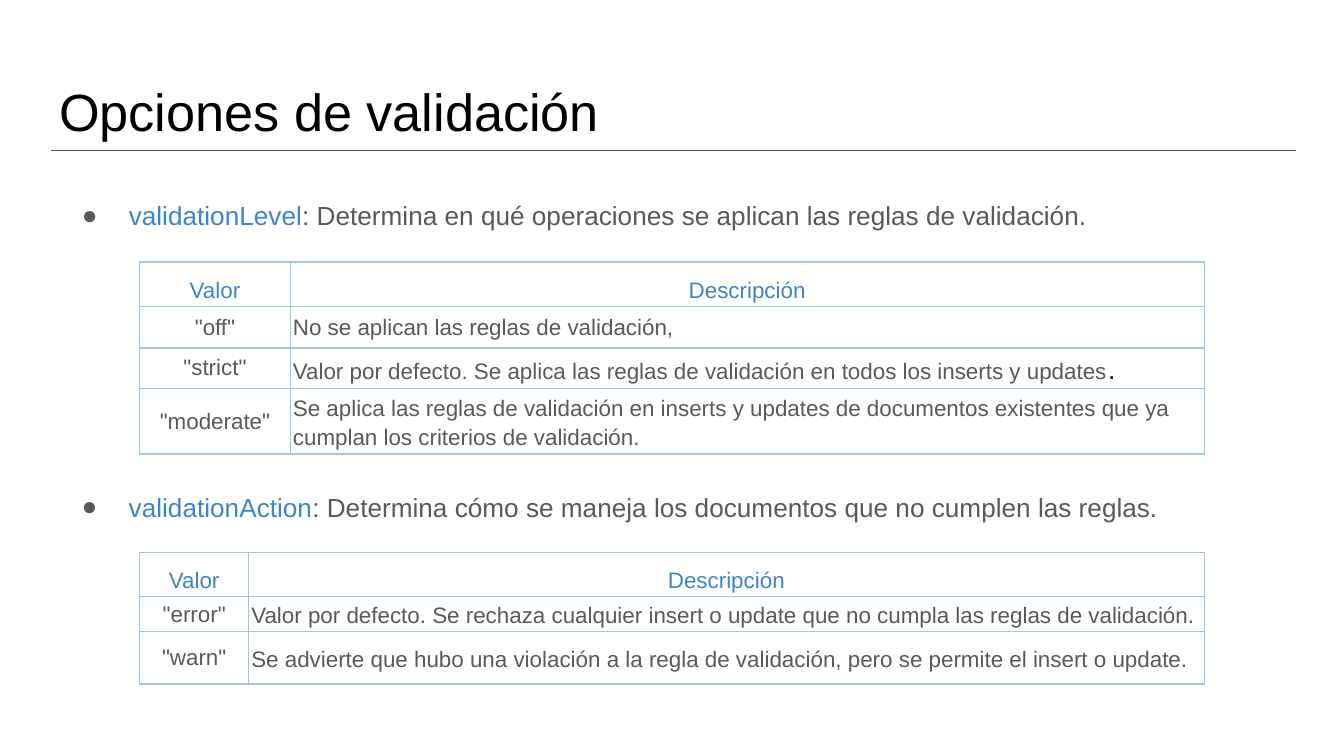
from lxml import etree
from pptx import Presentation
from pptx.dml.color import RGBColor
from pptx.enum.shapes import MSO_CONNECTOR
from pptx.enum.text import MSO_ANCHOR, MSO_AUTO_SIZE, PP_ALIGN
from pptx.oxml.ns import qn
from pptx.util import Inches, Pt

STRAIGHT = MSO_CONNECTOR.STRAIGHT
TOP, MIDDLE = MSO_ANCHOR.TOP, MSO_ANCHOR.MIDDLE
LEFT, CENTER = PP_ALIGN.LEFT, PP_ALIGN.CENTER
NO_AUTOFIT = MSO_AUTO_SIZE.NONE

SLIDE_WIDTH = Inches(10)
SLIDE_HEIGHT = SLIDE_WIDTH * 9 // 16
FONT = "Arial"
BLACK, GRAY, BLUE, BORDER, WHITE = "000000", "595959", "3D85C6", "9FC5E8", "FFFFFF"
TITLE_SIZE, BODY_SIZE, TABLE_SIZE = 28, 14, 12
TABLE_LEFT, TABLE_WIDTH = 1.04, 7.92
BULLET_LEFT, BULLET_HEIGHT = 0.36, 0.4

# Content: each row is value, description pieces, description line spacing, height
TITLE = "Opciones de validación"
HEADER = ("Valor", "Descripción")
SECTIONS = [
    {
        "option": "validationLevel",
        "summary": ": Determina en qué operaciones se aplican las reglas de validación.",
        "bullet_top": 1.35, "bullet_width": 8.09,
        "table_top": 1.95, "value_width": 1.12, "header_height": 0.24,
        "rows": [
            ('"off"', ["No se aplican las reglas de validación,"], None, 0.31),
            ('"strict"', ["Valor por defecto. Se aplica las reglas de validación "
                          "en todos los inserts y updates", "."], 1.15, 0.29),
            ('"moderate"', ["Se aplica las reglas de validación en inserts y updates de "
                            "documentos existentes que ya cumplan los criterios de "
                            "validación."], 1.15, 0.47),
        ],
    },
    {
        "option": "validationAction",
        "summary": ": Determina cómo se maneja los documentos que no cumplen las reglas.",
        "bullet_top": 3.52, "bullet_width": 8.74,
        "table_top": 4.11, "value_width": 0.81, "header_height": 0.18,
        "rows": [
            ('"error"', ["Valor por defecto. Se rechaza cualquier insert o update que no "
                         "cumpla las reglas de validación."], 1.15, 0.2),
            ('"warn"', ["Se advierte que hubo una violación a la regla de validación, "
                        "pero se permite el insert o update."], 1.15, 0.39),
        ],
    },
]


def color(value):
    return RGBColor.from_string(value)


def add_run(paragraph, text, size, text_color):
    run = paragraph.add_run()
    run.text = text
    run.font.name = FONT
    run.font.size = Pt(size)
    run.font.color.rgb = color(text_color)


def add_solid_color(parent, value):
    fill = etree.SubElement(parent, qn("a:solidFill"))
    etree.SubElement(fill, qn("a:srgbClr"), val=value)


def set_margins(target, margin):
    target.margin_left = target.margin_right = Inches(margin)
    target.margin_top = target.margin_bottom = Inches(margin)


def add_title(slide):
    title = slide.shapes.title
    title.left, title.top = Inches(0.34), Inches(0.49)
    title.width, title.height = Inches(9.32), Inches(0.63)
    frame = title.text_frame
    set_margins(frame, 0.1)
    frame.auto_size = NO_AUTOFIT
    frame.vertical_anchor = TOP
    paragraph = frame.paragraphs[0]
    paragraph.alignment = LEFT
    add_run(paragraph, TITLE, TITLE_SIZE, BLACK)


def add_rule(slide):
    rule = slide.shapes.add_connector(
        STRAIGHT, Inches(0.38), Inches(1.12), Inches(9.64), Inches(1.12))
    rule.line.color.rgb = color(GRAY)
    rule.line.width = Pt(0.75)
    etree.SubElement(rule.element.spPr, qn("a:effectLst"))


def add_bullet(slide, section):
    box = slide.shapes.add_textbox(
        Inches(BULLET_LEFT), Inches(section["bullet_top"]),
        Inches(section["bullet_width"]), Inches(BULLET_HEIGHT))
    frame = box.text_frame
    frame.word_wrap = True
    set_margins(frame, 0.1)
    paragraph = frame.paragraphs[0]
    paragraph.line_spacing = 1.15
    add_run(paragraph, section["option"], BODY_SIZE, BLUE)
    add_run(paragraph, section["summary"], BODY_SIZE, GRAY)
    properties = paragraph._p.get_or_add_pPr()
    properties.set("marL", str(Inches(0.5)))
    properties.set("indent", str(Inches(-0.35)))
    bullet_color = etree.SubElement(properties, qn("a:buClr"))
    etree.SubElement(bullet_color, qn("a:srgbClr"), val=GRAY)
    etree.SubElement(properties, qn("a:buSzPts"), val=str(BODY_SIZE * 100))
    etree.SubElement(properties, qn("a:buFont"), typeface=FONT)
    etree.SubElement(properties, qn("a:buChar"), char="●")


def format_cell(cell, alignment, spacing=None):
    """Set borders, fill and layout, and return the cell's paragraph."""
    set_margins(cell, 0.02)
    cell.margin_top = cell.margin_bottom = Pt(1.1)
    cell.vertical_anchor = MIDDLE
    properties = cell._tc.get_or_add_tcPr()
    for side in ("lnL", "lnR", "lnT", "lnB"):
        border = etree.SubElement(properties, qn(f"a:{side}"), w=str(Pt(0.75)))
        add_solid_color(border, BORDER)
    cell.fill.solid()
    cell.fill.fore_color.rgb = color(WHITE)
    paragraph = cell.text_frame.paragraphs[0]
    paragraph.alignment = alignment
    if spacing:
        paragraph.line_spacing = spacing
    return paragraph


def add_option_table(slide, section):
    rows = section["rows"]
    heights = [section["header_height"]] + [row[-1] for row in rows]
    widths = [section["value_width"], TABLE_WIDTH - section["value_width"]]
    table = slide.shapes.add_table(
        len(heights), len(widths), Inches(TABLE_LEFT), Inches(section["table_top"]),
        Inches(TABLE_WIDTH), Inches(sum(heights))).table
    table.first_row = table.horz_banding = False
    for column, width in zip(table.columns, widths):
        column.width = Inches(width)
    for row, height in zip(table.rows, heights):
        row.height = Inches(height)

    for index, label in enumerate(HEADER):
        paragraph = format_cell(table.cell(0, index), CENTER, 1.5)
        add_run(paragraph, label, TABLE_SIZE, BLUE)
    for index, (value, pieces, spacing, _) in enumerate(rows, start=1):
        add_run(format_cell(table.cell(index, 0), CENTER), value, TABLE_SIZE, GRAY)
        paragraph = format_cell(table.cell(index, 1), LEFT, spacing)
        if spacing:
            paragraph.space_after = Pt(8)
        # A second piece is the larger black full stop
        for piece, size, text_color in zip(pieces, (TABLE_SIZE, BODY_SIZE), (GRAY, BLACK)):
            add_run(paragraph, piece, size, text_color)


def main():
    presentation = Presentation()
    presentation.slide_width, presentation.slide_height = SLIDE_WIDTH, SLIDE_HEIGHT
    slide = presentation.slides.add_slide(presentation.slide_layouts[5])
    add_title(slide)
    add_rule(slide)
    for section in SECTIONS:
        add_bullet(slide, section)
        add_option_table(slide, section)
    presentation.save("out.pptx")


if __name__ == "__main__":
    main()
